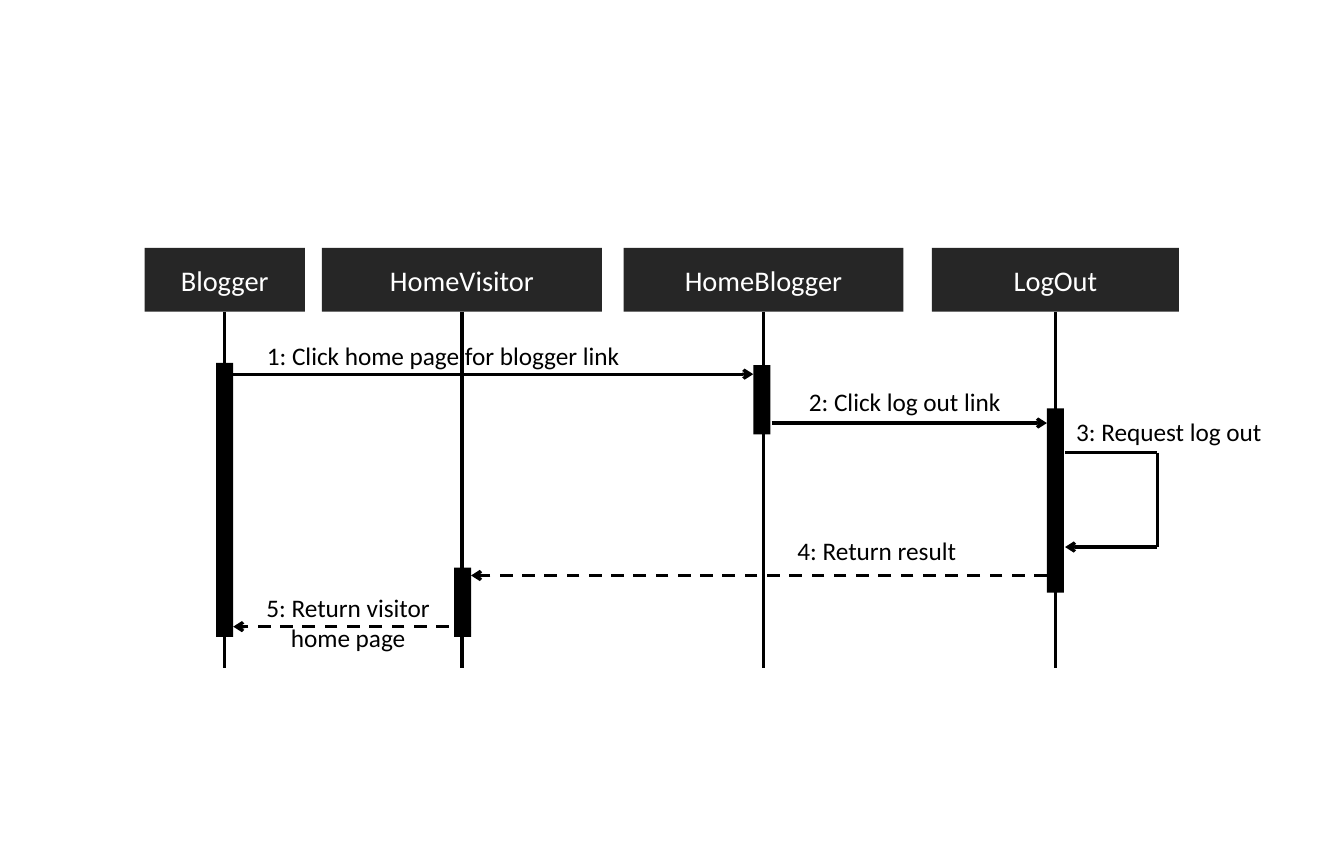
from lxml import etree
from pptx import Presentation
from pptx.dml.color import RGBColor
from pptx.enum.dml import MSO_LINE
from pptx.enum.shapes import MSO_CONNECTOR, MSO_SHAPE
from pptx.enum.text import MSO_ANCHOR, MSO_AUTO_SIZE, PP_ALIGN
from pptx.oxml.ns import qn
from pptx.util import Inches, Pt

STRAIGHT = MSO_CONNECTOR.STRAIGHT
RECTANGLE = MSO_SHAPE.RECTANGLE
DASH = MSO_LINE.DASH
MIDDLE = MSO_ANCHOR.MIDDLE
FIT_SHAPE = MSO_AUTO_SIZE.SHAPE_TO_FIT_TEXT
LEFT, CENTER = PP_ALIGN.LEFT, PP_ALIGN.CENTER

COLORS = {"head": "262626", "ink": "000000", "head_text": "FFFFFF"}
FONT = "Calibri"
HEAD_TOP, HEAD_HEIGHT, LIFE_END = 2.18, 0.56, 5.87
BAR_WIDTH = 0.15

PARTICIPANTS = [
    ("Blogger", 1.27, 1.41),
    ("HomeVisitor", 2.83, 2.46),
    ("HomeBlogger", 5.48, 2.46),
    ("LogOut", 8.19, 2.17),
]
ACTIVATIONS = [(1.9, 3.19, 2.41), (3.99, 4.99, 0.61), (6.62, 3.21, 0.61), (9.2, 3.59, 1.62)]
MESSAGES = [
    (2.05, 6.62, 3.29, False),
    (6.78, 9.2, 3.72, False),
    (9.2, 4.14, 5.06, True),
    (4.14, 2.05, 5.51, True),
]
LABELS = [
    ("1: Click home page for blogger link", 2.2, 2.94, 3.39, 0.37, CENTER, True),
    ("2: Click log out link", 7.01, 3.35, 1.91, 0.37, LEFT, False),
    ("3: Request log out", 9.36, 3.61, 1.86, 0.37, LEFT, False),
    ("4: Return result", 6.91, 4.66, 1.62, 0.37, LEFT, False),
    ("5: Return visitor\nhome page", 2.23, 5.16, 1.66, 0.64, CENTER, False),
]


def rgb(name):
    """Return the named colour."""
    return RGBColor.from_string(COLORS[name])


def write(tf, text, size, color, align):
    """Fill a text frame, one paragraph a line."""
    tf.text = text
    for p in tf.paragraphs:
        p.alignment = align
        for r in p.runs:
            r.font.name = FONT
            r.font.size = Pt(size)
            r.font.color.rgb = rgb(color)


def add_box(slide, x, y, w, h, color):
    """Add a plain filled rectangle."""
    sp = slide.shapes.add_shape(RECTANGLE, Inches(x), Inches(y), Inches(w), Inches(h))
    sp.shadow.inherit = False
    sp.fill.solid()
    sp.fill.fore_color.rgb = rgb(color)
    sp.line.fill.background()
    return sp


def add_line(slide, x1, y1, x2, y2, arrow=False, dashed=False):
    """Add a black line, with an arrowhead or dashes if asked."""
    line = slide.shapes.add_connector(STRAIGHT, Inches(x1), Inches(y1), Inches(x2), Inches(y2))
    line.line.width = Pt(2)
    line.line.color.rgb = rgb("ink")
    if dashed:
        line.line.dash_style = DASH
    if arrow:
        etree.SubElement(line.line._get_or_add_ln(), qn("a:tailEnd"), type="arrow")
    etree.SubElement(line._element.spPr, qn("a:effectLst"))
    return line


def add_participant(slide, name, x, w):
    """Add a participant's head and its lifeline."""
    head = add_box(slide, x, HEAD_TOP, w, HEAD_HEIGHT, "head")
    head.text_frame.vertical_anchor = MIDDLE
    write(head.text_frame, name, 18, "head_text", CENTER)
    center = x + w / 2
    lifeline = add_line(slide, center, HEAD_TOP + HEAD_HEIGHT, center, LIFE_END)
    lifeline.begin_connect(head, 2)


def add_label(slide, text, x, y, w, h, align, wrap):
    """Add the text of a message."""
    tf = slide.shapes.add_textbox(Inches(x), Inches(y), Inches(w), Inches(h)).text_frame
    tf.word_wrap = wrap
    tf.auto_size = FIT_SHAPE
    write(tf, text, 16, "ink", align)


def add_self_call(slide, left, right, top, bottom):
    """Add a message that loops back to its sender."""
    add_line(slide, left, top, right, top)
    add_line(slide, right, top, right, bottom)
    add_line(slide, right, bottom, left, bottom, arrow=True)


def main():
    """Build the log out sequence diagram."""
    prs = Presentation()
    prs.slide_width = Inches(30 / 2.54)
    prs.slide_height = Inches(7.5)
    slide = prs.slides.add_slide(prs.slide_layouts[6])
    for participant in PARTICIPANTS:
        add_participant(slide, *participant)
    for x, y, h in ACTIVATIONS:
        add_box(slide, x, y, BAR_WIDTH, h, "ink")
    for start, end, y, dashed in MESSAGES:
        add_line(slide, start, y, end, y, arrow=True, dashed=dashed)
    add_self_call(slide, 9.36, 10.17, 3.98, 4.81)
    for label in LABELS:
        add_label(slide, *label)
    prs.save("out.pptx")


if __name__ == "__main__":
    main()
